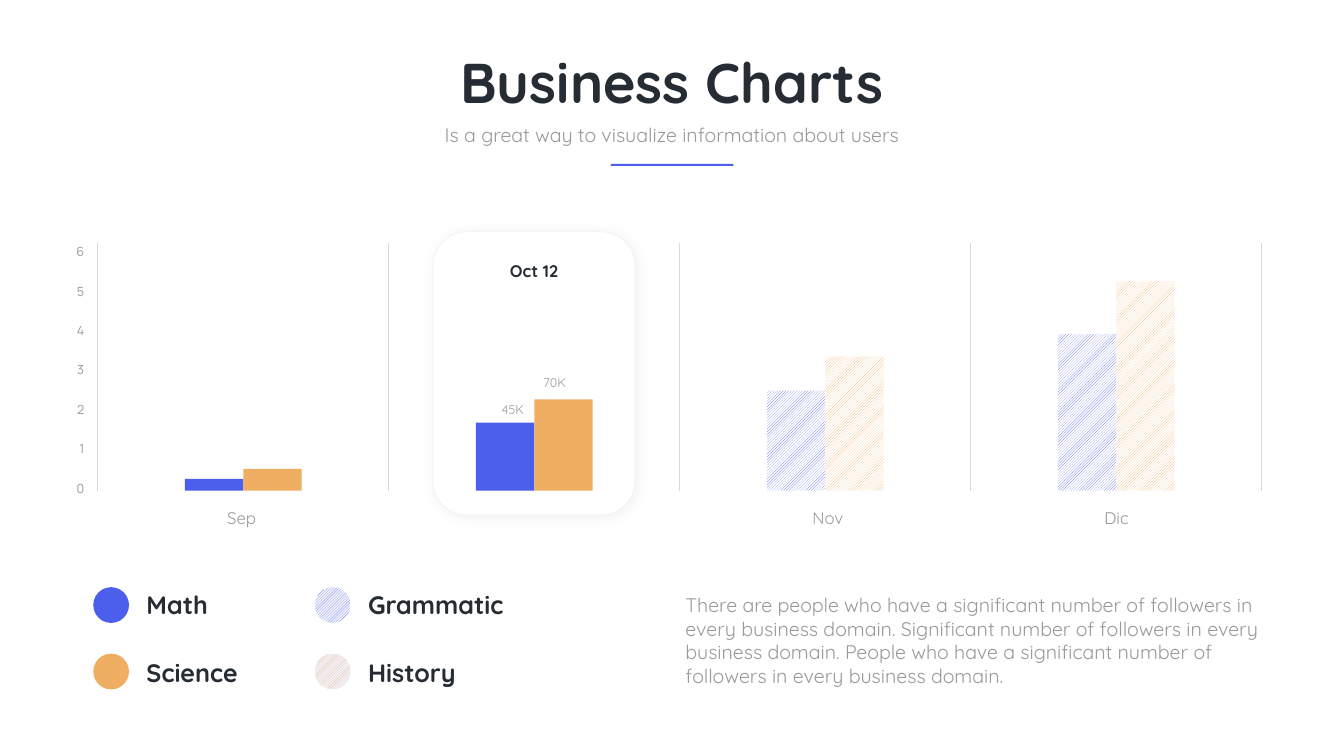
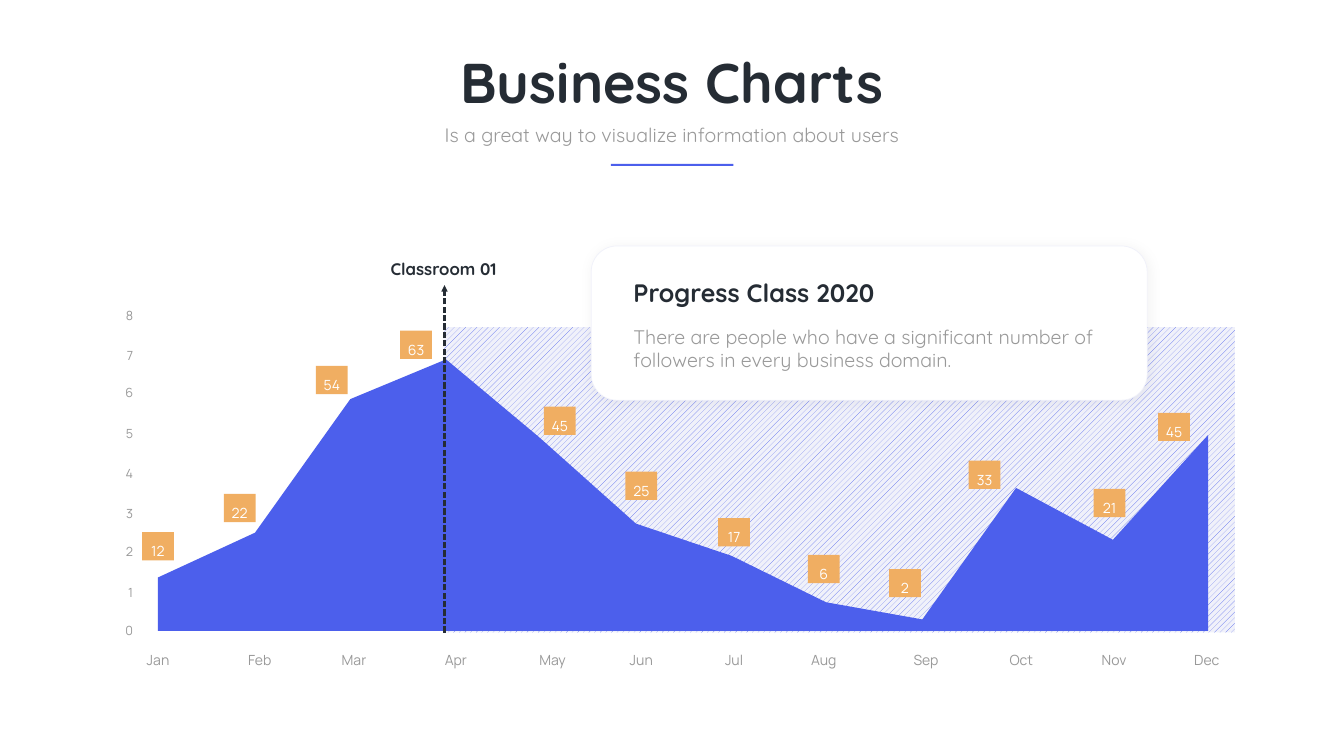
from lxml.etree import SubElement
from pptx import Presentation
from pptx.dml.color import RGBColor
from pptx.enum.dml import MSO_LINE, MSO_PATTERN
from pptx.enum.shapes import MSO_CONNECTOR, MSO_SHAPE
from pptx.enum.text import MSO_ANCHOR, MSO_AUTO_SIZE, PP_ALIGN
from pptx.oxml.ns import qn
from pptx.util import Pt

BLUE, ORANGE, DARK, GRAY = "4C5FEC", "F0AE62", "252C34", "999999"
WHITE, PALE, RULE_GRAY = "FFFFFF", "F0F1FA", "D9D9D9"
HEADING_FONT, NUMBER_FONT = "Quicksand", "Manrope"
NUMBER_SPACING = Pt(35.6)
DIAGONAL = MSO_PATTERN.WIDE_UPWARD_DIAGONAL
CENTER, RIGHT = PP_ALIGN.CENTER, PP_ALIGN.RIGHT

# left of the label, text and top left of the badge, and point of the area
MONTHS = [
    ("Jan", 182.2, "12", (203, 760.3), (225.4, 825.1)),
    ("Feb", 327.6, "22", (319.7, 705.6), (364.3, 761)),
    ("Mar", 462.2, "54", (451.4, 522.7), (500.4, 570.2)),
    ("Apr", 607.7, "63", (571.7, 472.3), (637.2, 513.4)),
    ("May", 745.9, "45", (776.9, 581), (769.7, 624.2)),
    ("Jun", 872.6, "25", (893.5, 673.9), (908.6, 748.1)),
    ("Jul", 1005.1, "17", (1026, 740.2), (1045.4, 794.2)),
    ("Aug", 1133.3, "6", (1154.2, 792.7), (1180.1, 860.4)),
    ("Sep", 1279.4, "2", (1270.1, 812.9), (1317.6, 884.9)),
    ("Oct", 1415.5, "33", (1383.8, 658.1), (1451.5, 697)),
    ("Nov", 1548, "21", (1562.4, 698.4), (1589.8, 771.1)),
    ("Dec", 1680.5, "45", (1654.6, 589.7), (1725.8, 621.4)),
]


def color(hex_string):
    return RGBColor.from_string(hex_string)


def set_text(shape, text, size, text_color, font=HEADING_FONT, bold=False,
             align=PP_ALIGN.LEFT, spacing=None):
    frame = shape.text_frame
    frame.text = text
    frame.word_wrap = True
    frame.auto_size = MSO_AUTO_SIZE.SHAPE_TO_FIT_TEXT
    frame.vertical_anchor = MSO_ANCHOR.TOP
    paragraph = frame.paragraphs[0]
    paragraph.alignment = align
    if spacing is not None:
        paragraph.line_spacing = spacing
    run_font = paragraph.runs[0].font
    run_font.name = font
    run_font.size = Pt(size)
    run_font.bold = bold
    run_font.color.rgb = color(text_color)


def add_text(shapes, box, text, size, text_color=GRAY, **style):
    text_box = shapes.add_textbox(*map(Pt, box))
    set_text(text_box, text, size, text_color, **style)
    return text_box


def add_number(shapes, box, text, size, align):
    """Axis label in the number font."""
    add_text(shapes, box, text, size, font=NUMBER_FONT, align=align,
             spacing=NUMBER_SPACING)


def paint(shape, fill_color, pattern=None, back_color=WHITE):
    shape.shadow.inherit = False
    shape.line.fill.background()
    if pattern is None:
        shape.fill.solid()
        shape.fill.fore_color.rgb = color(fill_color)
    else:
        shape.fill.patterned()
        shape.fill.pattern = pattern
        shape.fill.fore_color.rgb = color(fill_color)
        shape.fill.back_color.rgb = color(back_color)


def add_figure(shapes, box, fill_color, pattern=None, back_color=WHITE,
               kind=MSO_SHAPE.RECTANGLE):
    shape = shapes.add_shape(kind, *map(Pt, box))
    paint(shape, fill_color, pattern, back_color)
    return shape


def add_card(shapes, box):
    """White rounded card with a soft shadow."""
    card = add_figure(shapes, box, WHITE, kind=MSO_SHAPE.ROUNDED_RECTANGLE)
    card.line.color.rgb = color(PALE)
    card.line.width = Pt(1)
    effects = card._element.spPr.find(qn("a:effectLst"))
    shadow = SubElement(effects, qn("a:outerShdw"), blurRad=str(Pt(20)),
                        dist=str(Pt(3)), dir=str(45 * 60000), algn="tl",
                        rotWithShape="0")
    shadow_color = SubElement(shadow, qn("a:srgbClr"), val="000000")
    SubElement(shadow_color, qn("a:alpha"), val="5000")


def add_line(shapes, start, end, line_color, width):
    line = shapes.add_connector(MSO_CONNECTOR.STRAIGHT, *map(Pt, start + end))
    line.line.color.rgb = color(line_color)
    line.line.width = Pt(width)
    SubElement(line._element.spPr, qn("a:effectLst"))
    return line


def add_header(slide):
    shapes = slide.shapes.add_group_shape().shapes
    add_text(shapes, (495.4, 64.8, 929.5, 104.4), "Business Charts", 80, DARK,
             bold=True, align=CENTER)
    add_text(shapes, (615.6, 171.4, 688.3, 41),
             "Is a great way to visualize information about users", 28,
             align=CENTER)
    add_figure(shapes, (872.6, 234, 175, 2.9), BLUE)


def add_value_axis(slide, left, tops, width, height):
    """Numbers from 0 upwards, one for each top."""
    shapes = slide.shapes.add_group_shape().shapes
    for value, top in enumerate(tops):
        add_number(shapes, (left, top, width, height), str(value), 18, RIGHT)


def add_legend(shapes):
    entries = [("Math", BLUE, None), ("Science", ORANGE, None),
               ("Grammatic", BLUE, DIAGONAL), ("History", ORANGE, DIAGONAL)]
    for index, (name, fill_color, pattern) in enumerate(entries):
        column, row = divmod(index, 2)
        left, top = 133.2 + 316.6 * column, 838.8 + 95 * row
        add_figure(shapes, (left, top, 51.1, 51.1), fill_color, pattern, PALE,
                   MSO_SHAPE.OVAL)
        add_text(shapes, (left + 69, top + 1.5 * row, 305.3, 51.1), name, 36,
                 DARK, bold=True)


def add_bars(shapes):
    base, width, step = 700.8, 83.4, 415.7
    months = [((16.6, 31), None), ((97, 130.3), None),
              ((142.8, 191.5), DIAGONAL), ((223.4, 299), DIAGONAL)]
    for month, (heights, pattern) in enumerate(months):
        for series, (height, fill_color) in enumerate(zip(heights, (BLUE, ORANGE))):
            left = 264.2 + step * month + width * series
            add_figure(shapes, (left, base - height, width, height),
                       fill_color, pattern)
    for index in range(len(months) + 1):
        left = 139.7 + step * index
        add_line(shapes, (left, 347.8), (left, base), RULE_GRAY, 1)


def build_bar_slide(slide):
    shapes = slide.shapes
    add_card(shapes, (618.5, 331.2, 288.7, 404.6))
    add_text(shapes, (666.7, 368.6, 192.2, 33.1), "Oct 12", 24, DARK,
             bold=True, align=CENTER)
    for text, left, top in (("45K", 701.3, 571), ("70K", 761, 531.4)):
        add_text(shapes, (left, top, 62.6, 26.6), text, 18, align=CENTER)
    for text, left in (("Sep", 249.1), ("Nov", 1086.5), ("Dic", 1499)):
        add_text(shapes, (left, 721.4, 192.2, 33.1), text, 24, align=CENTER)
    add_legend(shapes)
    add_text(shapes, (972, 843.8, 858.2, 143.3),
             "There are people who have a significant number of followers in "
             "every business domain. Significant number of followers in every "
             "business domain. People who have a significant number of "
             "followers in every business domain.", 28)
    add_header(slide)
    add_bars(shapes)
    add_value_axis(slide, 91.4, [669 - 56.3 * value for value in range(7)],
                   36, 32.4)


def add_area(shapes):
    points = [point for *_, point in MONTHS]
    baseline = 901.4
    points += [(points[-1][0], baseline), (points[0][0], baseline)]
    corners = [(Pt(x), Pt(y)) for x, y in points]
    builder = shapes.build_freeform(*corners[0])
    builder.add_line_segments(corners[1:], close=True)
    paint(builder.convert_to_shape(), BLUE)


def add_marker_arrow(shapes):
    arrow = add_line(shapes, (635, 903.6), (635, 407.5), DARK, 3)
    arrow.line.dash_style = MSO_LINE.SQUARE_DOT
    SubElement(arrow.line._get_or_add_ln(), qn("a:tailEnd"), type="triangle")


def build_area_slide(slide):
    shapes = slide.shapes
    add_header(slide)
    add_figure(shapes, (633.6, 467.3, 1130.4, 436.3), BLUE,
               MSO_PATTERN.PERCENT_10, PALE)
    marker = add_text(shapes, (517.7, 373.7, 231.8, 28.8), "Classroom 01", 24,
                      DARK, bold=True, align=CENTER, spacing=0.7)
    frame = marker.text_frame
    frame.vertical_anchor = MSO_ANCHOR.MIDDLE
    frame.margin_left = frame.margin_right = Pt(4.3)
    frame.margin_top = frame.margin_bottom = Pt(4.3)

    add_card(shapes, (844.6, 351.4, 794.2, 220.3))
    card_text = shapes.add_group_shape().shapes
    add_text(card_text, (897.8, 460.1, 689, 74.9),
             "There are people who have a significant number of followers in "
             "every business domain.", 28)
    add_text(card_text, (897.8, 393.1, 453.6, 51.1), "Progress Class 2020", 36,
             DARK, bold=True)

    add_area(shapes)
    add_marker_arrow(shapes)
    add_value_axis(slide, 154.8, (871.9, 818.6, 758.9, 705.6, 648, 591.1,
                                  532.8, 478.8, 421.9), 42.5, 45.4)
    for month, label_left, value, badge_corner, _ in MONTHS:
        add_number(shapes, (label_left, 915.8, 87.1, 40.3), month, 20, CENTER)
        badge = add_figure(shapes, (*badge_corner, 45.4, 40.3), ORANGE)
        set_text(badge, value, 20, WHITE, font=NUMBER_FONT, align=CENTER,
                 spacing=NUMBER_SPACING)


def main():
    presentation = Presentation()
    presentation.slide_width = Pt(1920)
    presentation.slide_height = Pt(1080)
    blank = presentation.slide_layouts[6]
    for build_slide in (build_bar_slide, build_area_slide):
        build_slide(presentation.slides.add_slide(blank))
    presentation.save("out.pptx")


if __name__ == "__main__":
    main()
